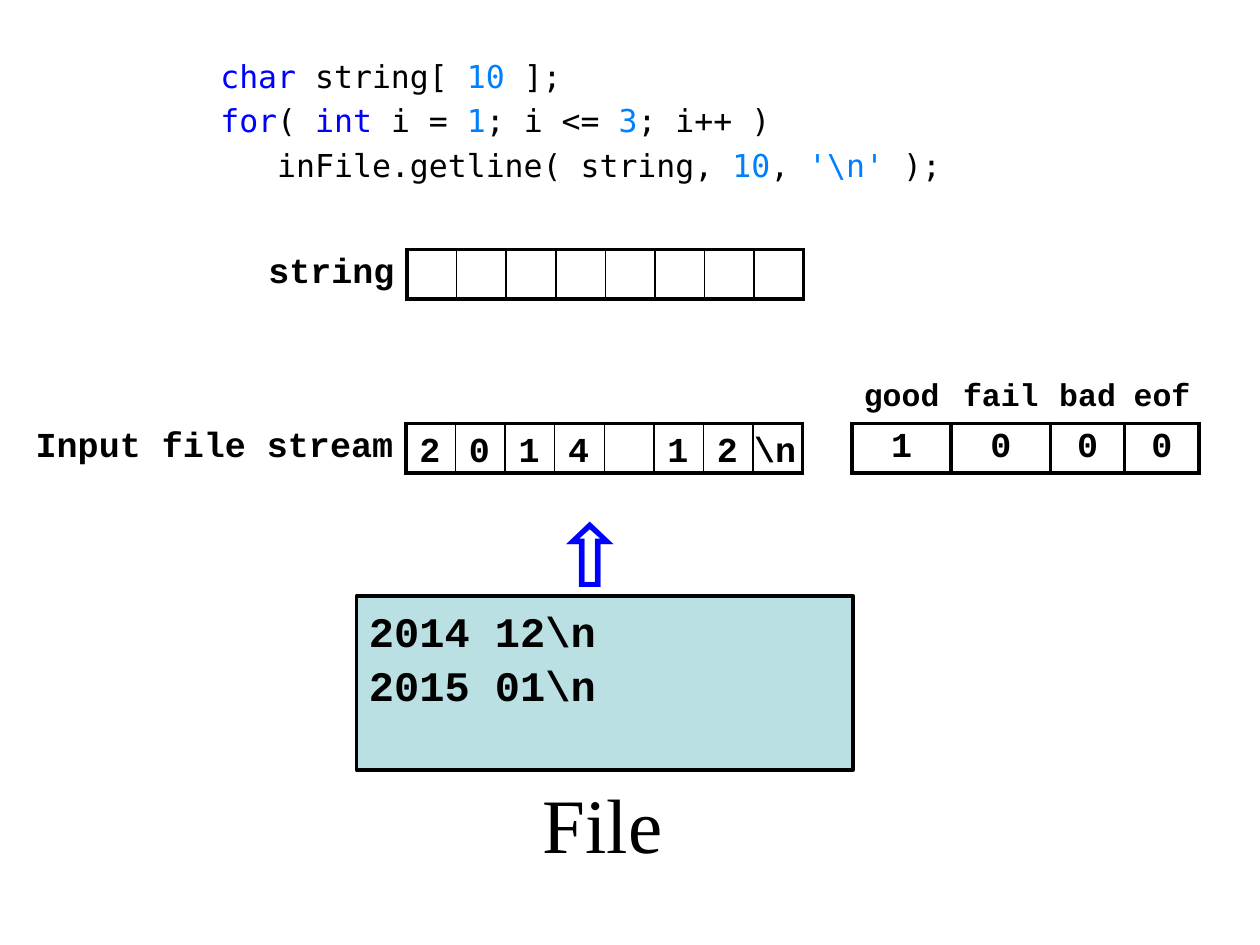
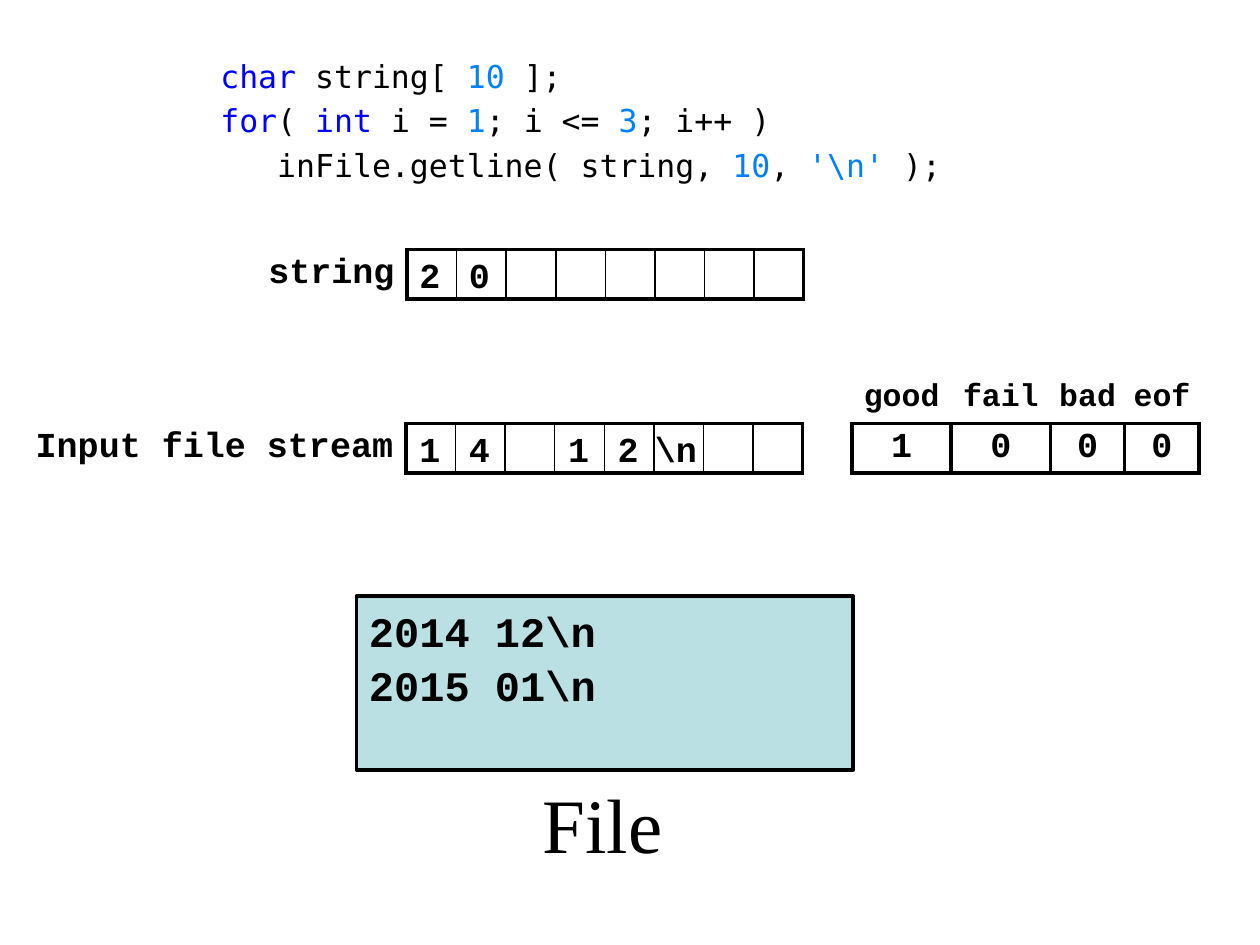
from lxml.etree import SubElement
from pptx import Presentation
from pptx.dml.color import RGBColor
from pptx.enum.shapes import MSO_SHAPE
from pptx.enum.text import MSO_ANCHOR, PP_ALIGN
from pptx.oxml.ns import qn
from pptx.util import Inches, Pt

COLORS = {"ink": "000000", "word": "0000FF", "value": "0080FF", "file": "BBE0E3"}
MONO, CODE, SERIF = "Courier New", "DejaVu Sans Mono", "Times New Roman"
CELL = 1 / 2.54  # side of one grid square, in inches
THICK, THIN = 2.25, 1
LEFT = 3.23  # left edge of both character rows
STRING_TOP, STREAM_TOP = 1.98, 3.36

LINES = [
    [("char", "word"), (" string[ ", "ink"), ("10", "value"), (" ];", "ink")],
    [("for", "word"), ("( ", "ink"), ("int", "word"), (" i = ", "ink"), ("1", "value"),
     ("; i <= ", "ink"), ("3", "value"), ("; i++ )", "ink")],
    [("   inFile.getline( string, ", "ink"), ("10", "value"), (", ", "ink"),
     ("'\\n'", "value"), (" );", "ink")],
]
FLAGS = {"good": "1", "fail": "0", "bad": "0", "eof": "0"}
RECORDS = ["2014 12\\n", "2015 01\\n"]
STEPS = [
    {"held": "", "queue": [*"2014 12", "\\n"], "arrow": True},
    {"held": "20", "queue": [*"14 12", "\\n"], "arrow": False},
]


def rgb(name):
    return RGBColor.from_string(COLORS[name])


def style(par, size, face=MONO, bold=True, color="ink"):
    font = par.font
    font.size, font.name, font.bold = Pt(size), face, bold
    font.color.rgb = rgb(color)


def pad(area, left, top, right, bottom):
    """Set the insets of a text frame or a table cell."""
    area.margin_left, area.margin_top = Inches(left), Inches(top)
    area.margin_right, area.margin_bottom = Inches(right), Inches(bottom)


def add_text(slide, box, insets=(0.1, 0.05, 0.1, 0.05), wrap=True):
    frame = slide.shapes.add_textbox(*map(Inches, box)).text_frame
    frame.word_wrap = wrap
    pad(frame, *insets)
    return frame


def add_code(slide, box):
    frame = add_text(slide, box, (0.1, 0.05, 0.04, 0.05))
    for row, parts in enumerate(LINES):
        par = frame.add_paragraph() if row else frame.paragraphs[0]
        if row:
            par.space_before = Pt(4)
        style(par, 18, CODE, False)
        for text, color in parts:
            run = par.add_run()
            run.text = text
            run.font.color.rgb = rgb(color)


def set_edges(cell, left, right, top, bottom):
    """Draw each cell edge at its width in points, or none where it is 0."""
    props = cell._tc.get_or_add_tcPr()
    widths = {"a:lnL": left, "a:lnR": right, "a:lnT": top, "a:lnB": bottom}
    for spot, (tag, width) in enumerate(widths.items()):
        line = SubElement(props, qn(tag), w=str(Pt(width)))
        if width:
            fill = SubElement(line, qn("a:solidFill"))
            SubElement(fill, qn("a:srgbClr"), val=COLORS["ink"])
        else:
            SubElement(line, qn("a:noFill"))
        props.insert(spot, line)


def edge(one, two):
    """Width of the line between two neighbour kinds of cell."""
    if one == two == ".":
        return 0
    return THIN if one == two == "c" else THICK


def add_grid(slide, left, top, widths, kinds, rows):
    """Place a table whose last row is framed; kinds: . open, c character, f flag."""
    shape = slide.shapes.add_table(len(rows), len(kinds), Inches(left), Inches(top),
                                   Inches(sum(widths)), Inches(CELL * len(rows)))
    table = shape.table
    table.first_row = table.horz_banding = False
    for col, width in zip(table.columns, widths):
        col.width = Inches(width)
    ends = "." + kinds + "."
    for r, texts in enumerate(rows):
        table.rows[r].height = Inches(CELL)
        last = r == len(rows) - 1
        for c, text in enumerate(texts):
            cell = table.cell(r, c)
            label = last and c == 0
            pad(cell, 0, 0, 0.1 if label else 0, 0)
            cell.vertical_anchor = MSO_ANCHOR.MIDDLE
            cell.text = text
            par = cell.text_frame.paragraphs[0]
            par.alignment = PP_ALIGN.RIGHT if label else PP_ALIGN.CENTER
            style(par, 20 if last else 18)
            cell.fill.background()
            rule = edge(kinds[c], ".")
            sides = (edge(ends[c], kinds[c]), edge(kinds[c], ends[c + 2])) if last else (0, 0)
            set_edges(cell, *sides, rule if last else 0, rule)


def add_string(slide, left, top):
    add_grid(slide, left, top, [3 * CELL] + [CELL] * 8, "." + "c" * 8,
             [["string"] + [""] * 8])


def add_stream(slide, left, top):
    widths = [7.5 * CELL] + [CELL] * 9 + [2 * CELL] * 2 + [1.5 * CELL] * 2
    add_grid(slide, left, top, widths, "." + "c" * 8 + "." + "f" * 4,
             [[""] * 10 + list(FLAGS),
              ["Input file stream"] + [""] * 9 + list(FLAGS.values())])


def add_chars(slide, left, top, chars):
    for spot, char in enumerate(chars):
        if char == " ":
            continue
        side = 0.1 if len(char) == 1 else 0
        frame = add_text(slide, (left + spot * CELL, top, CELL, CELL),
                         (side, 0.05, side, 0.05))
        frame.vertical_anchor = MSO_ANCHOR.MIDDLE
        frame.text = char
        style(frame.paragraphs[0], 20)


def add_file(slide, left, top, width, height):
    """Place the file box with its records and the caption below."""
    shape = slide.shapes.add_shape(MSO_SHAPE.RECTANGLE,
                                   *map(Inches, (left, top, width, height)))
    shape.shadow.inherit = False
    shape.fill.solid()
    shape.fill.fore_color.rgb = rgb("file")
    shape.line.color.rgb = rgb("ink")
    shape.line.width = Pt(THICK)
    frame = shape.text_frame
    frame.vertical_anchor = MSO_ANCHOR.TOP
    frame.text = "\n".join(RECORDS)
    for par in frame.paragraphs:
        par.alignment = PP_ALIGN.LEFT
        par.line_spacing = 1.07
        style(par, 24)
    label = 3 * CELL
    frame = add_text(slide, (left + (width - label) / 2, top + height, label, 0.98),
                     wrap=False)
    frame.text = "File"
    style(frame.paragraphs[0], 44, SERIF, False)


def add_arrow(slide, left, top):
    frame = add_text(slide, (left, top, 2 * CELL, 2.5 * CELL), (0, 0, 0, 0))
    frame.text = "⇧"
    style(frame.paragraphs[0], 66, color="word")


def add_step(deck, held, queue, arrow):
    slide = deck.slides.add_slide(deck.slide_layouts[6])
    add_code(slide, (1.65, 0.4, 5.91, 1.18))
    add_stream(slide, 0.27, STREAM_TOP - CELL)
    add_string(slide, 2.05, STRING_TOP)
    add_file(slide, 2.83, 4.73, 3.94, 1.38)
    if arrow:
        add_arrow(slide, LEFT + 3 * CELL, 3.75)
    add_chars(slide, LEFT, STRING_TOP, held)
    add_chars(slide, LEFT, STREAM_TOP, queue)


def main():
    deck = Presentation()
    deck.slide_width, deck.slide_height = Inches(10), Inches(7.5)
    for step in STEPS:
        add_step(deck, **step)
    deck.save("out.pptx")


if __name__ == "__main__":
    main()
